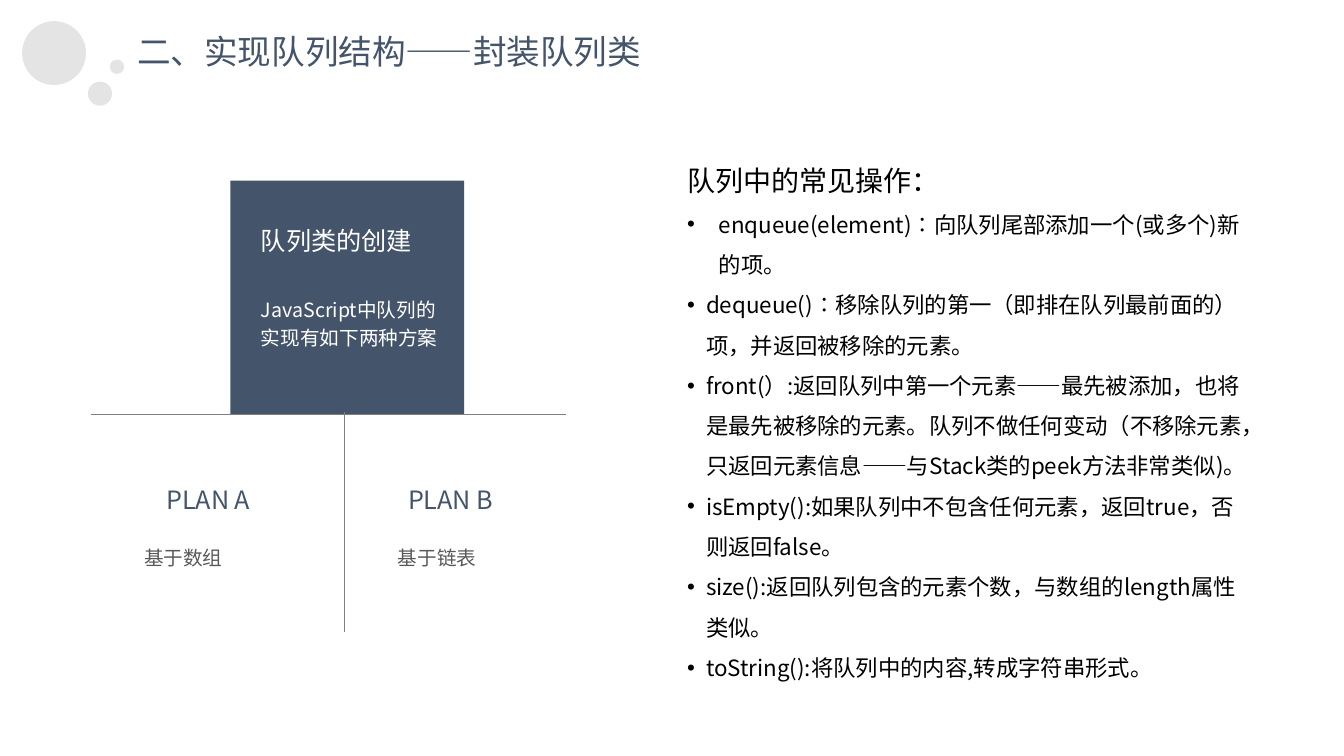
from lxml import etree
from pptx import Presentation
from pptx.dml.color import RGBColor
from pptx.enum.shapes import MSO_CONNECTOR, MSO_SHAPE
from pptx.enum.text import MSO_ANCHOR, MSO_AUTO_SIZE, PP_ALIGN
from pptx.oxml.ns import qn
from pptx.util import Pt

FONT = "Noto Sans CJK SC"
NAVY, BLACK, WHITE, GREY = "44546A", "000000", "FFFFFF", "595959"


def write(sp, box, paragraphs, color, size, spacing=1.0, align=PP_ALIGN.LEFT):
    """Place a text shape and fill it with equally formatted paragraphs."""
    sp.left, sp.top, sp.width, sp.height = [Pt(v) for v in box]
    tf = sp.text_frame
    tf.word_wrap = True
    tf.auto_size = MSO_AUTO_SIZE.NONE
    tf.vertical_anchor = MSO_ANCHOR.TOP
    tf.text = "\n".join(paragraphs)
    for p in tf.paragraphs:
        p.alignment = align
        p.line_spacing = spacing
        for r in p.runs:
            r.font.name = FONT
            r.font.size = Pt(size)
            r.font.color.rgb = RGBColor.from_string(color)
            etree.SubElement(r.font._element, qn("a:ea"), typeface=FONT)
    return tf


def add_filled(shape_type, box, color):
    sp = s.shapes.add_shape(shape_type, *[Pt(v) for v in box])
    sp.shadow.inherit = False
    sp.fill.solid()
    sp.fill.fore_color.rgb = RGBColor.from_string(color)
    sp.line.fill.background()
    return sp


prs = Presentation()
prs.slide_width, prs.slide_height = Pt(960), Pt(540)
s = prs.slides.add_slide(prs.slide_layouts[5])

# Corner bubbles
for x, y, d in [(15.8, 15.1, 45.6), (62.8, 58.3, 17.2), (78.5, 42.6, 10.2)]:
    bubble = add_filled(MSO_SHAPE.FLOWCHART_CONNECTOR, (x, y, d, d), "D9D9D9")
    tint = bubble.fill._xPr.find(qn("a:solidFill"))[0]
    etree.SubElement(tint, qn("a:alpha"), val="70000")

write(s.shapes.title, (90.7, 18.7, 396, 36), ["二、实现队列结构——封装队列类"], NAVY, 24)

# Plan diagram
add_filled(MSO_SHAPE.RECTANGLE, (164.5, 129, 167, 167), NAVY)
for x1, y1, x2, y2 in [(65, 296.3, 404, 296.3), (246.2, 451.5, 246.2, 294.5)]:
    line = s.shapes.add_connector(MSO_CONNECTOR.STRAIGHT, Pt(x1), Pt(y1), Pt(x2), Pt(y2))
    line.line.color.rgb = RGBColor.from_string("808080")
    line.line.width = Pt(0.5)
    etree.SubElement(line._element.spPr, qn("a:effectLst"))

LEFT, JUSTIFY = PP_ALIGN.LEFT, PP_ALIGN.JUSTIFY
labels = [
    ("队列类的创建", (179.3, 157.7, 124, 29), WHITE, 18, 1.0, LEFT),
    ("JavaScript中队列的实现有如下两种方案", (179.3, 206, 148.3, 46), WHITE, 14, 1.2, LEFT),
    ("PLAN A", (111.6, 342.7, 98, 29), NAVY, 18, 1.0, LEFT),
    ("基于数组", (95.8, 386.6, 111.6, 24.5), GREY, 14, 1.0, JUSTIFY),
    ("PLAN B", (284.4, 342.7, 89.3, 29), NAVY, 18, 1.0, LEFT),
    ("基于链表", (277.2, 386.6, 103.7, 24.5), GREY, 14, 1.0, JUSTIFY),
]
for text, box, color, size, spacing, align in labels:
    write(s.shapes.add_textbox(0, 0, 0, 0), box, [text], color, size, spacing, align)

# Queue operations
operations = [
    "队列中的常见操作：",
    "enqueue(element)∶向队列尾部添加一个(或多个)新的项。",
    "dequeue()∶移除队列的第一（即排在队列最前面的）项，并返回被移除的元素。",
    "front(）:返回队列中第一个元素——最先被添加，也将是最先被移除的元素。"
    "队列不做任何变动（不移除元素，只返回元素信息——与Stack类的peek方法非常类似)。",
    "isEmpty():如果队列中不包含任何元素，返回true，否则返回false。",
    "size():返回队列包含的元素个数，与数组的length属性类似。",
    "toString():将队列中的内容,转成字符串形式。",
]
tf = write(s.shapes.add_textbox(0, 0, 0, 0), (483.8, 101.5, 417.6, 389.5),
           operations, BLACK, 16, 1.5)
heading, *bullets = tf.paragraphs
heading.runs[0].font.size = Pt(20)
for i, p in enumerate(bullets):
    indent = Pt(22.5 if i == 0 else 13.5)
    pPr = p._p.get_or_add_pPr()
    pPr.set("marL", str(indent))
    pPr.set("indent", str(-indent))
    etree.SubElement(pPr, qn("a:buFont"), typeface="Arial")
    etree.SubElement(pPr, qn("a:buChar"), char="•")

prs.save("out.pptx")
